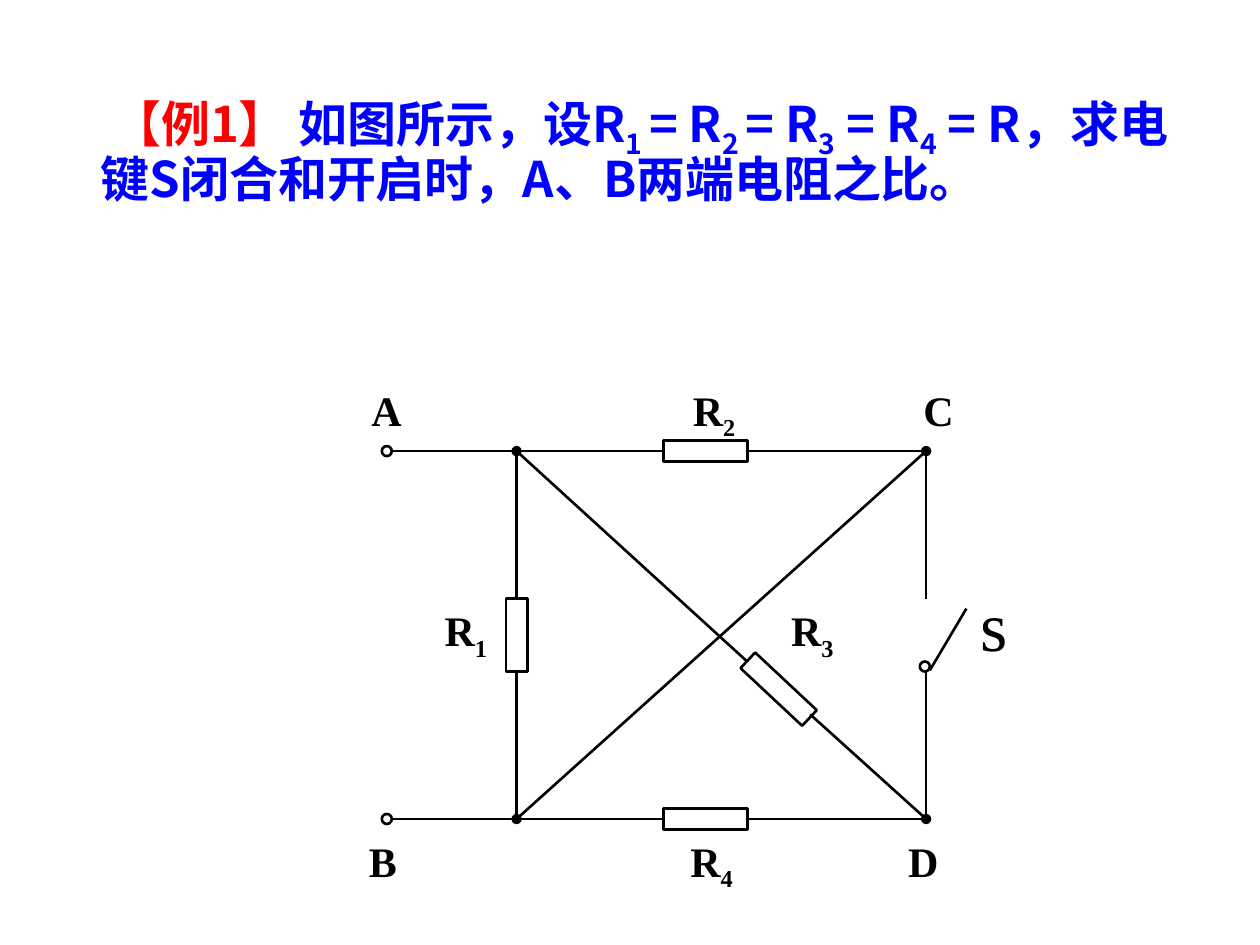
from lxml import etree
from pptx import Presentation
from pptx.dml.color import RGBColor
from pptx.enum.shapes import MSO_CONNECTOR, MSO_SHAPE
from pptx.enum.text import MSO_ANCHOR, MSO_AUTO_SIZE, PP_ALIGN
from pptx.oxml.ns import qn
from pptx.util import Inches, Pt

STRAIGHT = MSO_CONNECTOR.STRAIGHT
OVAL, RECTANGLE = MSO_SHAPE.OVAL, MSO_SHAPE.RECTANGLE
LEFT, TOP, NO_FIT = PP_ALIGN.LEFT, MSO_ANCHOR.TOP, MSO_AUTO_SIZE.NONE
TITLE_ONLY = 5

COLORS = {"ink": "000000", "question": "0000FF", "number": "FF0000"}
TITLE_FONT = {"name": "Noto Sans CJK SC", "size": Pt(28), "bold": True}
LABEL_FONT = {"name": "Times New Roman", "size": Pt(24), "bold": True}
SWITCH_FONT = {"name": "Times New Roman", "size": Pt(40), "bold": False}
FRAME = {"word_wrap": True, "auto_size": NO_FIT, "vertical_anchor": TOP,
         "margin_left": Inches(0.1), "margin_right": Inches(0.1),
         "margin_top": Inches(0.05), "margin_bottom": Inches(0.05)}

TERMINAL_X, LEFT_X, RIGHT_X = 3.07, 4.1, 7.35
TOP_Y, BOTTOM_Y = 3.58, 6.5
BREAK_TOP, BREAK_BOTTOM = 4.75, 5.33
RESISTOR_LEFT, RESISTOR_RIGHT = 5.27, 5.93
RESISTOR_LENGTH, RESISTOR_WIDTH = 0.67, 0.17
RING = 0.08


def set_values(target, values):
    """Set each named attribute of the target."""
    for name, value in values.items():
        setattr(target, name, value)


def add_span(para, text, font, color, subscript=False):
    """Add one formatted run, lowered if it is a subscript."""
    span = para.add_run()
    span.text = text
    set_values(span.font, font)
    span.font.color.rgb = RGBColor.from_string(COLORS[color])
    properties = span.font._element
    etree.SubElement(properties, qn("a:ea"), typeface=font["name"])
    if subscript:
        properties.set("baseline", "-25000")


def add_spans(para, parts, font, color):
    """Add parts that alternate between normal text and subscripts."""
    for index, text in enumerate(parts):
        add_span(para, text, font, color, subscript=index % 2 == 1)


def add_title(page):
    """Fill the title with the numbered question."""
    title = page.shapes.title
    set_values(title, {"left": Inches(0.7), "top": Inches(0.7),
                       "width": Inches(8.86), "height": Inches(1.1)})
    set_values(title.text_frame, FRAME)
    para = title.text_frame.paragraphs[0]
    set_values(para, {"alignment": LEFT, "line_spacing": 0.9})
    para._p.get_or_add_pPr().set("indent", str(Inches(0.09)))
    add_span(para, "【例1】 ", TITLE_FONT, "number")
    add_spans(para, ["如图所示，设R", "1 ", "= R", "2 ", "= R", "3", " = R", "4",
                     " = R，求电键S闭合和开启时，A、B两端电阻之比。"],
              TITLE_FONT, "question")


def add_label(circuit, place, parts, font=LABEL_FONT, tabs=()):
    """Add a circuit label, with tab stops for labels along a row."""
    box = circuit.shapes.add_textbox(*map(Inches, place))
    set_values(box.text_frame, FRAME)
    para = box.text_frame.paragraphs[0]
    if tabs:
        stops = etree.SubElement(para._p.get_or_add_pPr(), qn("a:tabLst"))
        for stop in tabs:
            etree.SubElement(stops, qn("a:tab"), pos=str(Inches(stop)), algn="l")
    add_spans(para, parts, font, "ink")


def style_line(line):
    """Give a line the circuit's ink and weight."""
    line.color.rgb = RGBColor.from_string(COLORS["ink"])
    line.width = Pt(1.5)


def add_wire(circuit, start, end, node=False):
    """Add a straight wire, with a dot at its start if it is a node."""
    wire = circuit.shapes.add_connector(STRAIGHT, *map(Inches, start + end))
    style_line(wire.line)
    properties = wire._element.spPr
    etree.SubElement(properties, qn("a:effectLst"))
    if node:
        etree.SubElement(properties.find(qn("a:ln")), qn("a:headEnd"), type="oval")


def add_outline(circuit, kind, center, size, rotation=0):
    """Add an unfilled shape around its centre."""
    corner = [middle - extent / 2 for middle, extent in zip(center, size)]
    shape = circuit.shapes.add_shape(kind, *map(Inches, (*corner, *size)))
    shape.shadow.inherit = False
    shape.fill.background()
    shape.rotation = rotation
    style_line(shape.line)


def add_rails(circuit):
    """Add the horizontal rails with their terminals and resistors."""
    for y in (TOP_Y, BOTTOM_Y):
        add_wire(circuit, (3.1, y), (RESISTOR_LEFT, y))
        add_wire(circuit, (RESISTOR_RIGHT, y), (RIGHT_X, y))
        add_outline(circuit, OVAL, (TERMINAL_X, y), (RING, RING))
        add_outline(circuit, RECTANGLE, (5.6, y), (RESISTOR_LENGTH, RESISTOR_WIDTH))


def add_sides(circuit):
    """Add the vertical sides with a resistor and an open switch."""
    for x in (LEFT_X, RIGHT_X):
        add_wire(circuit, (x, TOP_Y), (x, BREAK_TOP), node=True)
        add_wire(circuit, (x, BOTTOM_Y), (x, BREAK_BOTTOM), node=True)
    add_outline(circuit, RECTANGLE, (LEFT_X, 5.04),
                (RESISTOR_WIDTH, BREAK_BOTTOM - BREAK_TOP))
    add_outline(circuit, OVAL, (7.34, 5.29), (RING, RING))
    add_wire(circuit, (7.38, 5.32), (7.67, 4.83))


def add_diagonals(circuit):
    """Add the crossing wires and the tilted resistor."""
    add_wire(circuit, (RIGHT_X, TOP_Y), (LEFT_X, BOTTOM_Y))
    add_wire(circuit, (LEFT_X, TOP_Y), (RESISTOR_RIGHT, 5.25))
    add_wire(circuit, (RIGHT_X, BOTTOM_Y), (6.43, 5.67))
    add_outline(circuit, RECTANGLE, (6.18, 5.47),
                (RESISTOR_LENGTH, RESISTOR_WIDTH), rotation=43.1)


def add_labels(circuit):
    """Name the terminals, resistors and switch."""
    add_label(circuit, (2.85, 3, 6, 0.56), ["A\tR", "2", "\tC"], tabs=(2.55, 4.38))
    add_label(circuit, (2.83, 6.58, 5.85, 0.56), ["B\tR", "4", "\tD"],
              tabs=(2.55, 4.28))
    for x, number in ((3.43, "1"), (6.18, "3")):
        add_label(circuit, (x, 4.75, 0.58, 0.56), ["R", number])
    add_label(circuit, (7.68, 4.57, 0.75, 0.77), ["s"], SWITCH_FONT)


def main():
    """Build and save the circuit question."""
    deck = Presentation()
    set_values(deck, {"slide_width": Inches(10), "slide_height": Inches(7.5)})
    page = deck.slides.add_slide(deck.slide_layouts[TITLE_ONLY])
    add_title(page)
    circuit = page.shapes.add_group_shape()
    for add_part in (add_rails, add_sides, add_diagonals, add_labels):
        add_part(circuit)
    deck.save("out.pptx")


if __name__ == "__main__":
    main()
